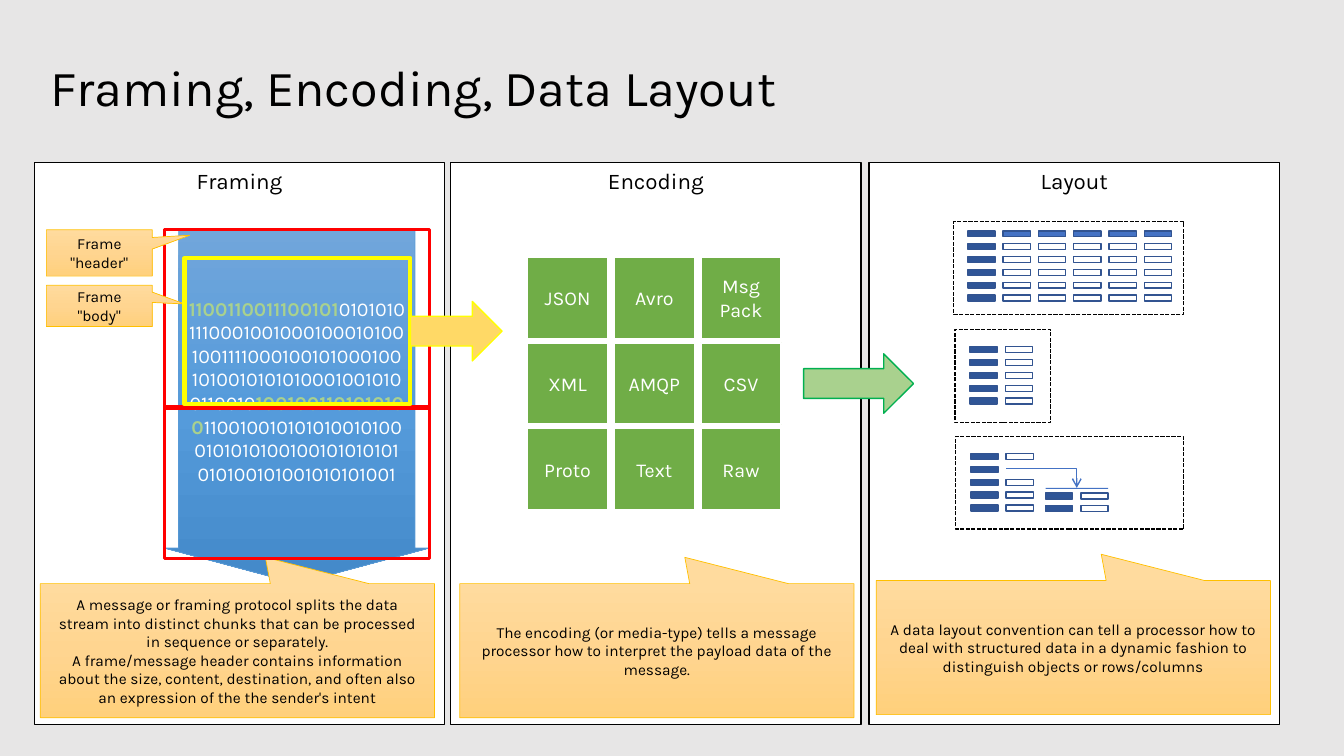
from copy import deepcopy

from lxml.etree import SubElement
from pptx import Presentation
from pptx.dml.color import RGBColor
from pptx.enum.dml import MSO_LINE
from pptx.enum.shapes import MSO_CONNECTOR, MSO_SHAPE
from pptx.enum.text import MSO_ANCHOR, PP_ALIGN
from pptx.oxml.ns import qn
from pptx.util import Inches, Pt

FONT = "Karla"
ORANGE = ["FFDB9E", "FFD590", "FFD07C"]
BLUE = ["71A6DB", "559BDB", "448ACA"]
NAVY, CELL_LINE, ROYAL = "2F5597", "325491", "4472C4"
ROW_PITCH, COLUMN_PITCH = 0.51 / 4, 0.35

deck = Presentation()
deck.slide_width, deck.slide_height = Inches(13.33), Inches(7.5)
page = deck.slides.add_slide(deck.slide_layouts[6])
page.background.fill.solid()
page.background.fill.fore_color.rgb = RGBColor.from_string("E7E6E6")


def add_box(kind, at, fill=None, line=None, weight=1, adjust=()):
    """Add a preset shape; fill is a colour, a list of three gradient colours or None."""
    box = page.shapes.add_shape(kind, *map(Inches, at))
    box.shadow.inherit = False
    for index, value in enumerate(adjust):
        box.adjustments[index] = value
    if fill is None:
        box.fill.background()
    elif isinstance(fill, str):
        box.fill.solid()
        box.fill.fore_color.rgb = RGBColor.from_string(fill)
    else:
        box.fill.gradient()
        box.fill.gradient_angle = 270
        stop_list = box._element.spPr.find(".//" + qn("a:gsLst"))
        stop_list.append(deepcopy(stop_list[0]))
        for stop, colour, position in zip(box.fill.gradient_stops, fill, (0, 0.5, 1)):
            stop.color.rgb = RGBColor.from_string(colour)
            stop.position = position
    if line:
        box.line.color.rgb = RGBColor.from_string(line)
        box.line.width = Pt(weight)
    else:
        box.line.fill.background()
    return box


def write(box, paragraphs, size, align=PP_ALIGN.CENTER, anchor=MSO_ANCHOR.MIDDLE):
    """Fill a shape with paragraphs, each a list of (text, colour, bold) spans."""
    box.text_frame.word_wrap = True
    box.text_frame.vertical_anchor = anchor
    for index, spans in enumerate(paragraphs):
        para = box.text_frame.paragraphs[0] if index == 0 else box.text_frame.add_paragraph()
        para.alignment = align
        for text, colour, bold in spans:
            for number, part in enumerate(text.split("\n")):
                if number:
                    para.add_line_break()
                span = para.add_run()
                span.text = part
                span.font.color.rgb = RGBColor.from_string(colour)
                for name, value in {"name": FONT, "size": Pt(size), "bold": bold}.items():
                    setattr(span.font, name, value)


# Title
title = page.shapes.add_textbox(Inches(0.5), Inches(0.5), Inches(12.33), Inches(0.78))
for side in ("left", "top", "right", "bottom"):
    setattr(title.text_frame, f"margin_{side}", 0)
write(title, [[("Framing, Encoding, Data Layout", "000000", False)]], 36, PP_ALIGN.LEFT)
title.text_frame.paragraphs[0].line_spacing = 0.9

# Panels
for left, heading in [(0.34, "Framing"), (4.47, "Encoding"), (8.62, "Layout")]:
    panel = add_box(MSO_SHAPE.RECTANGLE, (left, 1.61, 4.07, 5.58), "FFFFFF", "000000")
    write(panel, [[(heading, "000000", False)]], 16, anchor=MSO_ANCHOR.TOP)

# Bit stream
stream = add_box(MSO_SHAPE.DOWN_ARROW, (1.63, 2.28, 2.63, 3.51), BLUE, "5B9BD5", 0.5, (0.891, 0.134))
write(stream, [[
    ("1100110011100101", "A9D18E", True),
    ("01010101110001001000100010100100111100010010100010010100101010100010010100110010", "FFFFFF", False),
    ("1001001101010100", "A9D18E", True),
    ("1100100101010100101000101010100100101010101010100101001010101001", "FFFFFF", False),
]], 14)

# Explanations below the panels
notes = [
    (0.4, 5.79, [
        "A message or framing protocol splits the data stream into distinct chunks "
        "that can be processed in sequence or separately.",
        "A frame/message header contains information about the size, content, destination, "
        "and often also an expression of the the sender's intent",
    ]),
    (4.56, 5.79, [
        "The encoding (or media-type) tells a message processor how to interpret "
        "the payload data of the message.",
    ]),
    (8.69, 5.76, [
        "A data layout convention can tell a processor how to deal with structured data "
        "in a dynamic fashion to distinguish objects or rows/columns",
    ]),
]
for left, top, texts in notes:
    note = add_box(MSO_SHAPE.RECTANGULAR_CALLOUT, (left, top, 3.91, 1.33), ORANGE, "FFC000", 0.5, (0.071, -0.696))
    write(note, [[(text, "000000", False)] for text in texts], 11)

# Frames, their labels and the frame body
for top, height in [(2.28, 1.77), (4.03, 1.51)]:
    add_box(MSO_SHAPE.RECTANGLE, (1.63, top, 2.63, height), line="FF0000", weight=2.25)
for text, top, height, tip in [
    ('Frame "header"', 2.28, 0.46, (0.854, -0.381)),
    ('Frame "body"', 2.83, 0.41, (0.805, -0.047)),
]:
    label = add_box(MSO_SHAPE.RECTANGULAR_CALLOUT, (0.46, top, 1.05, height), ORANGE, "FFC000", 0.5, tip)
    write(label, [[(text, "000000", False)]], 11)
add_box(MSO_SHAPE.RECTANGLE, (1.83, 2.56, 2.24, 1.45), line="FFFF00", weight=3)

# Encodings
encodings = [
    ["JSON", "Avro", "Msg\nPack"],
    ["XML", "AMQP", "CSV"],
    ["Proto", "Text", "Raw"],
]
for row, names in enumerate(encodings):
    for column, name in enumerate(names):
        at = (5.23 + 0.86 * column, 2.55 + 0.85 * row, 0.8, 0.81)
        tile = add_box(MSO_SHAPE.RECTANGLE, at, "70AD47", "FFFFFF", 1.5)
        write(tile, [[(name, "FFFFFF", False)]], 14)

# Arrows between the panels
add_box(MSO_SHAPE.RIGHT_ARROW, (4.07, 2.99, 0.91, 0.59), "FFD966", "FFFF00")
add_box(MSO_SHAPE.RIGHT_ARROW, (7.97, 3.51, 1.09, 0.59), "A9D18E", "00B050")

# Data layouts: table, record and nested record
for at in [(9.46, 2.2, 2.28, 0.92), (9.47, 3.27, 0.95, 0.92), (9.48, 4.33, 2.26, 0.92)]:
    outline = add_box(MSO_SHAPE.RECTANGLE, at, "FFFFFF", "000000")
    outline.line.dash_style = MSO_LINE.SQUARE_DOT

# left, top, rows, columns, colour of the top row, cell left out
cell_grids = [
    (9.6, 2.29, 6, 6, ROYAL, None),
    (9.62, 3.44, 5, 2, None, None),
    (9.63, 4.5, 5, 2, None, (1, 1)),
    (10.37, 4.89, 2, 2, None, None),
]
for left, top, rows, columns, top_fill, gap in cell_grids:
    for row in range(rows):
        for column in range(columns):
            if (row, column) == gap:
                continue
            fill = NAVY if column == 0 else top_fill if row == 0 else None
            at = (left + COLUMN_PITCH * column, top + ROW_PITCH * row, 0.27, 0.06)
            add_box(MSO_SHAPE.RECTANGLE, at, fill, CELL_LINE)

# Link from the left-out cell to the nested record
link = page.shapes.add_connector(MSO_CONNECTOR.ELBOW, Inches(9.98), Inches(4.65), Inches(10.68), Inches(4.84))
link.line.color.rgb = RGBColor.from_string(ROYAL)
link.line.width = Pt(1)
link_format = link._element.spPr
link_format.find(qn("a:prstGeom")).set("prst", "bentConnector2")
SubElement(link_format.find(qn("a:ln")), qn("a:tailEnd"), type="arrow")
SubElement(link_format, qn("a:effectLst"))
add_box(MSO_SHAPE.RECTANGLE, (10.37, 4.84, 0.62, 0.01), ROYAL)

deck.save("out.pptx")
